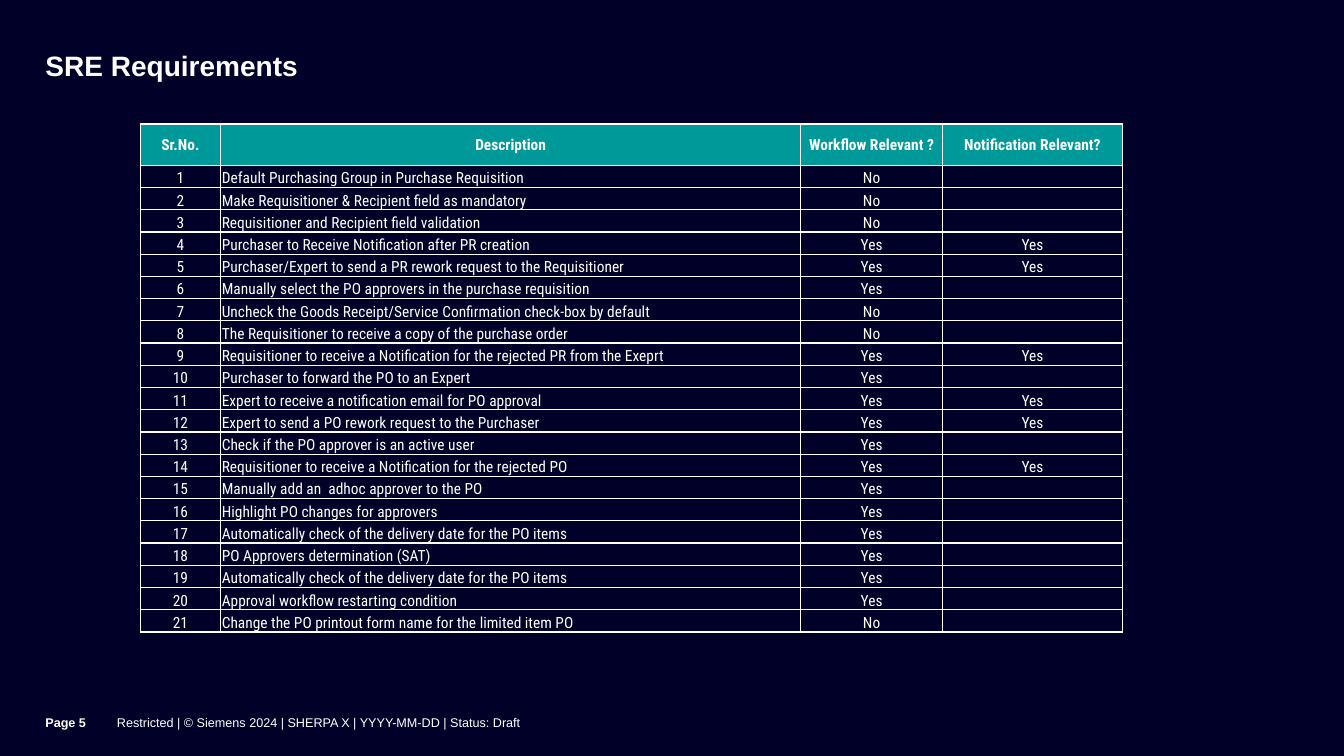
from lxml import etree
from pptx import Presentation
from pptx.dml.color import RGBColor
from pptx.enum.text import MSO_ANCHOR, MSO_AUTO_SIZE, PP_ALIGN
from pptx.oxml.ns import qn
from pptx.util import Inches, Pt

TOP, MIDDLE, BOTTOM = MSO_ANCHOR.TOP, MSO_ANCHOR.MIDDLE, MSO_ANCHOR.BOTTOM
LEFT, CENTER = PP_ALIGN.LEFT, PP_ALIGN.CENTER
NO_AUTOFIT = MSO_AUTO_SIZE.NONE

WHITE, TEAL, NAVY = "FFFFFF", "009999", "000028"
HEADER_HEIGHT, TABLE_HEIGHT = 0.41, 5.04
COLUMN_WIDTHS = [0.8, 5.75, 1.41, 1.78]
HEADINGS = ["Sr.No.", "Description", "Workflow Relevant ?", "Notification Relevant?"]
REQUIREMENTS = [
    ("Default Purchasing Group in Purchase Requisition", "No", ""),
    ("Make Requisitioner & Recipient field as mandatory", "No", ""),
    ("Requisitioner and Recipient field validation", "No", ""),
    ("Purchaser to Receive Notification after PR creation", "Yes", "Yes"),
    ("Purchaser/Expert to send a PR rework request to the Requisitioner", "Yes", "Yes"),
    ("Manually select the PO approvers in the purchase requisition", "Yes", ""),
    ("Uncheck the Goods Receipt/Service Confirmation check-box by default", "No", ""),
    ("The Requisitioner to receive a copy of the purchase order", "No", ""),
    ("Requisitioner to receive a Notification for the rejected PR from the Exeprt", "Yes", "Yes"),
    ("Purchaser to forward the PO to an Expert", "Yes", ""),
    ("Expert to receive a notification email for PO approval", "Yes", "Yes"),
    ("Expert to send a PO rework request to the Purchaser", "Yes", "Yes"),
    ("Check if the PO approver is an active user", "Yes", ""),
    ("Requisitioner to receive a Notification for the rejected PO", "Yes", "Yes"),
    ("Manually add an  adhoc approver to the PO", "Yes", ""),
    ("Highlight PO changes for approvers", "Yes", ""),
    ("Automatically check of the delivery date for the PO items", "Yes", ""),
    ("PO Approvers determination (SAT)", "Yes", ""),
    ("Automatically check of the delivery date for the PO items", "Yes", ""),
    ("Approval workflow restarting condition", "Yes", ""),
    ("Change the PO printout form name for the limited item PO", "No", ""),
]


def rgb(value):
    return RGBColor.from_string(value)


def set_font(p, name, size, bold=False):
    p.font.name = name
    p.font.size = Pt(size)
    p.font.bold = bold
    p.font.color.rgb = rgb(WHITE)


def set_margins(box, left, top, right, bottom):
    """Set the insets of a text frame or a table cell."""
    box.margin_left, box.margin_top = Inches(left), Inches(top)
    box.margin_right, box.margin_bottom = Inches(right), Inches(bottom)


def add_title(s, text):
    sp = s.shapes.title
    sp.left, sp.top = Inches(0.45), Inches(0.52)
    sp.width, sp.height = Inches(10.79), Inches(0.63)
    tf = sp.text_frame
    tf.text = text
    tf.auto_size = NO_AUTOFIT
    tf.vertical_anchor = TOP
    set_margins(tf, 0, 0, 0.35, 0.02)
    p = tf.paragraphs[0]
    p.alignment = LEFT
    p.line_spacing = 0.9
    set_font(p, "Arial", 20, bold=True)


def add_footer(s, text, left, width, bold=False):
    tf = s.shapes.add_textbox(Inches(left), Inches(6.9), Inches(width), Inches(0.6)).text_frame
    tf.text = text
    tf.word_wrap = True
    tf.vertical_anchor = MIDDLE
    set_margins(tf, 0, 0, 0, 0.07)
    set_font(tf.paragraphs[0], "Arial", 9, bold)


def add_borders(cell):
    tcPr = cell._tc.get_or_add_tcPr()
    for side in ("a:lnL", "a:lnR", "a:lnT", "a:lnB"):
        ln = etree.SubElement(tcPr, qn(side), w=str(Pt(1)))
        fill = etree.SubElement(ln, qn("a:solidFill"))
        etree.SubElement(fill, qn("a:srgbClr"), val=WHITE)


def fill_cell(cell, text, is_header, alignment):
    add_borders(cell)
    if is_header:
        cell.fill.solid()
        cell.fill.fore_color.rgb = rgb(TEAL)
    else:
        cell.fill.background()
    set_margins(cell, 0.01, 0.01, 0.01, 0)
    cell.vertical_anchor = MIDDLE if is_header else BOTTOM
    p = cell.text_frame.paragraphs[0]
    p.alignment = alignment
    set_font(p, "Roboto Condensed", 11, bold=is_header)
    if text:
        p.add_run().text = text
    else:
        # An empty cell needs its own text size to keep the row low
        etree.SubElement(p._p, qn("a:endParaRPr"), sz="1100")


def add_requirements_table(s):
    rows = [HEADINGS] + [(str(n), *req) for n, req in enumerate(REQUIREMENTS, 1)]
    table = s.shapes.add_table(
        len(rows), len(HEADINGS), Inches(1.39), Inches(1.23),
        Inches(sum(COLUMN_WIDTHS)), Inches(TABLE_HEIGHT)).table
    table.first_row = table.horz_banding = False
    for column, width in zip(table.columns, COLUMN_WIDTHS):
        column.width = Inches(width)
    row_height = (TABLE_HEIGHT - HEADER_HEIGHT) / len(REQUIREMENTS)
    for i, texts in enumerate(rows):
        is_header = i == 0
        table.rows[i].height = Inches(HEADER_HEIGHT if is_header else row_height)
        for j, text in enumerate(texts):
            is_description = j == 1 and not is_header
            fill_cell(table.cell(i, j), text, is_header, LEFT if is_description else CENTER)


def main():
    prs = Presentation()
    prs.slide_width, prs.slide_height = Inches(13.33), Inches(7.5)
    s = prs.slides.add_slide(prs.slide_layouts[5])
    s.background.fill.solid()
    s.background.fill.fore_color.rgb = rgb(NAVY)
    add_title(s, "SRE Requirements")
    add_footer(s, "Restricted | © Siemens 2024 | SHERPA X | YYYY-MM-DD | Status: Draft", 1.16, 10.08)
    add_footer(s, "Page 5", 0.45, 0.71, bold=True)
    add_requirements_table(s)
    prs.save("out.pptx")


if __name__ == "__main__":
    main()
